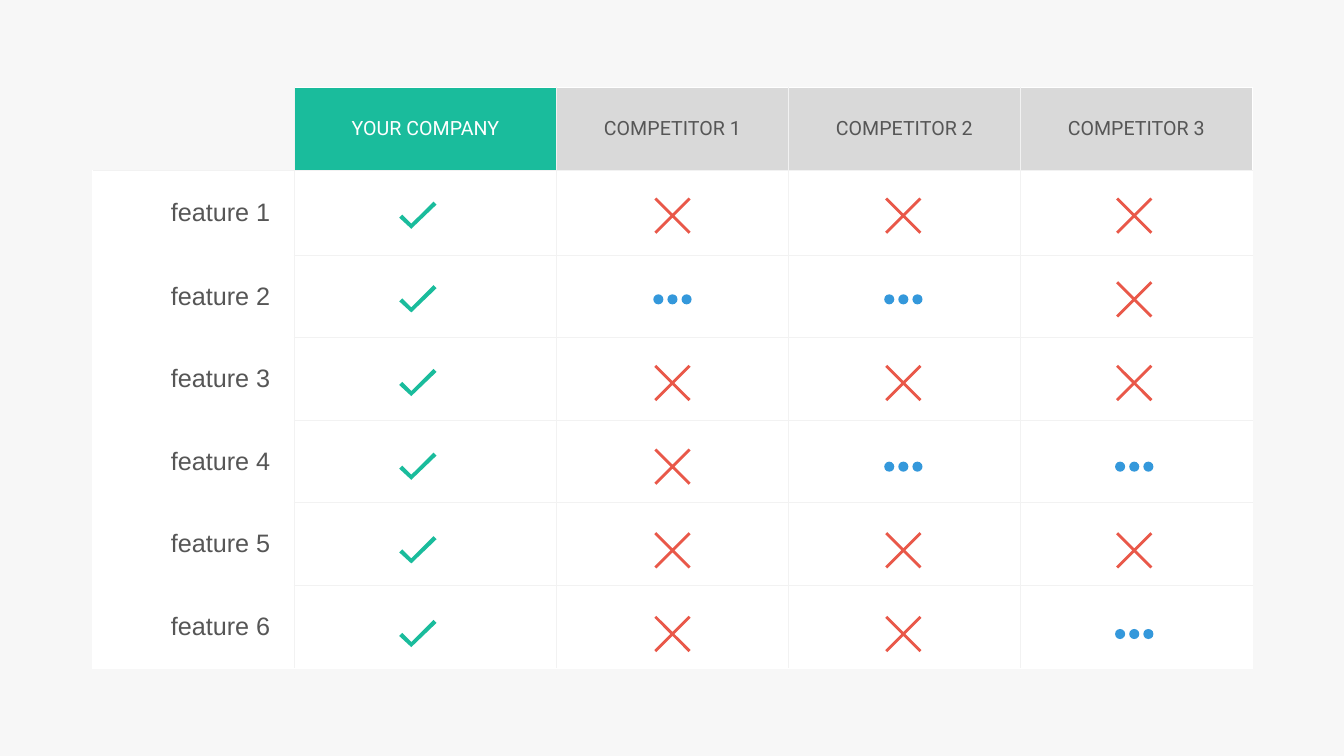
from lxml import etree
from pptx import Presentation
from pptx.dml.color import RGBColor
from pptx.enum.shapes import MSO_SHAPE
from pptx.enum.text import MSO_ANCHOR, PP_ALIGN
from pptx.oxml.ns import qn
from pptx.util import Inches, Pt

GREEN, RED, BLUE = "1ABC9C", "E95849", "3498DB"
WHITE, GRID, HEADER, TEXT = "FFFFFF", "F2F2F2", "D9D9D9", "565656"
COLUMNS = ["YOUR COMPANY", "COMPETITOR 1", "COMPETITOR 2", "COMPETITOR 3"]
COL_WIDTHS = [2, 2.6, 2.3, 2.3, 2.3]
ROW_HEIGHTS = [0.82, 0.84] + [0.82] * 5
RATINGS = [
    ["check", "cross", "cross", "cross"],
    ["check", "dots", "dots", "cross"],
    ["check", "cross", "cross", "cross"],
    ["check", "cross", "dots", "dots"],
    ["check", "cross", "cross", "cross"],
    ["check", "cross", "cross", "dots"],
]
ICON_CENTERS = [4.14, 6.67, 8.96, 11.25]
CHECK = [(0.16, -0.14), (-0.06, 0.08), (-0.15, -0.01),
         (-0.18, 0.02), (-0.06, 0.13), (0.19, -0.11)]
CROSS = [(0.18, -0.16), (0.16, -0.18), (0, -0.02), (-0.16, -0.18),
         (-0.18, -0.16), (-0.02, 0), (-0.18, 0.16), (-0.16, 0.18),
         (0, 0.02), (0.16, 0.18), (0.18, 0.16), (0.02, 0)]


def rgb(value):
    """Turn a hex string into a colour."""
    return RGBColor.from_string(value)


def paint(sp, color):
    """Give a shape a flat fill without line or shadow."""
    sp.fill.solid()
    sp.fill.fore_color.rgb = rgb(color)
    sp.line.fill.background()
    sp.shadow.inherit = False


def set_borders(cell, colors):
    """Draw the left, right, top and bottom borders; None leaves one out."""
    tcPr = cell._tc.get_or_add_tcPr()
    for i, (side, color) in enumerate(zip("LRTB", colors)):
        ln = etree.Element(qn(f"a:ln{side}"))
        if color:
            ln.set("w", str(Pt(1 if color == WHITE else 0.75)))
            fill = etree.SubElement(ln, qn("a:solidFill"))
            etree.SubElement(fill, qn("a:srgbClr"), val=color)
        else:
            etree.SubElement(ln, qn("a:noFill"))
        tcPr.insert(i, ln)


def border_colors(row, col, last_row, last_col):
    """Choose the border colours from a cell's place in the table."""
    if row == col == 0:
        return None, GRID, None, GRID
    left = WHITE if col == 0 else GRID
    right = WHITE if col == last_col else GRID
    top = WHITE if row == 0 else GRID
    bottom = WHITE if row == last_row else GRID
    if col == 0:
        top = GRID if row == 1 else None
        bottom = WHITE if row == last_row else None
    return left, right, top, bottom


def write_cell(cell, text, align, font, size, color):
    """Write one line of formatted text in a cell."""
    cell.vertical_anchor = MSO_ANCHOR.MIDDLE
    p = cell.text_frame.paragraphs[0]
    p.text = text
    p.alignment = align
    p.font.name = font
    p.font.size = Pt(size)
    p.font.color.rgb = rgb(color)


def add_comparison_table(slide, x, y):
    """Build the feature table with its top left corner at x, y."""
    n_rows, n_cols = len(ROW_HEIGHTS), len(COL_WIDTHS)
    table = slide.shapes.add_table(
        n_rows, n_cols, Inches(x), Inches(y),
        Inches(sum(COL_WIDTHS)), Inches(sum(ROW_HEIGHTS))).table
    table.first_row = table.horz_banding = False
    for column, width in zip(table.columns, COL_WIDTHS):
        column.width = Inches(width)
    for r, height in enumerate(ROW_HEIGHTS):
        table.rows[r].height = Inches(height)
        for c in range(n_cols):
            cell = table.cell(r, c)
            if r == c == 0:
                cell.fill.background()
            else:
                cell.fill.solid()
                header = GREEN if c == 1 else HEADER
                cell.fill.fore_color.rgb = rgb(WHITE if r else header)
            set_borders(cell, border_colors(r, c, n_rows - 1, n_cols - 1))
            if r == 0 and c:
                write_cell(cell, COLUMNS[c - 1], PP_ALIGN.CENTER,
                           "Roboto", 14, WHITE if c == 1 else TEXT)
            elif r and c == 0:
                cell.margin_right = Inches(0.24)
                write_cell(cell, f"feature {r}", PP_ALIGN.RIGHT,
                           "Arial", 18, TEXT)


def add_outline(slide, cx, cy, points, color):
    """Draw a closed outline around the centre cx, cy."""
    start, *rest = [(Inches(cx + dx), Inches(cy + dy)) for dx, dy in points]
    builder = slide.shapes.build_freeform(*start)
    builder.add_line_segments(rest, close=True)
    paint(builder.convert_to_shape(), color)


def add_dots(slide, cx, cy):
    """Draw a group of three dots around the centre cx, cy."""
    size, step = 0.1, 0.14
    group = slide.shapes.add_group_shape()
    for i in (-1, 0, 1):
        dot = group.shapes.add_shape(
            MSO_SHAPE.OVAL, Inches(cx + i * step - size / 2),
            Inches(cy - size / 2), Inches(size), Inches(size))
        paint(dot, BLUE)


def add_ratings(slide, y, step):
    """Place the rating icons, the first row centred on y."""
    for i, row in enumerate(RATINGS):
        for cx, rating in zip(ICON_CENTERS, row):
            cy = y + i * step
            if rating == "check":
                add_outline(slide, cx, cy, CHECK, GREEN)
            elif rating == "cross":
                add_outline(slide, cx, cy, CROSS, RED)
            else:
                add_dots(slide, cx, cy)


def main():
    """Build and save the comparison slide."""
    prs = Presentation()
    prs.slide_width, prs.slide_height = Inches(13.33), Inches(7.5)
    s = prs.slides.add_slide(prs.slide_layouts[6])
    s.background.fill.solid()
    s.background.fill.fore_color.rgb = rgb("F7F7F7")
    add_comparison_table(s, 0.92, 0.87)
    add_ratings(s, 2.14, 0.83)
    prs.save("out.pptx")


if __name__ == "__main__":
    main()
